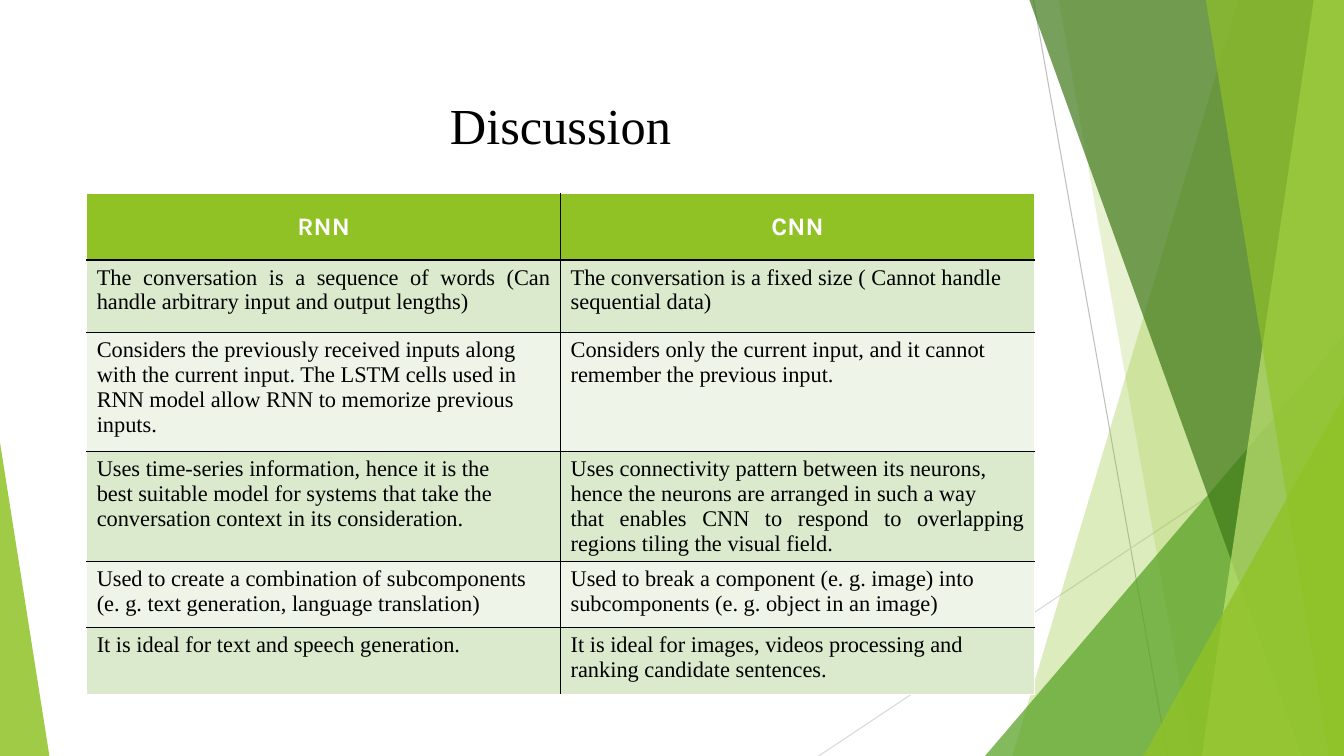
import pptx
import pptx.util
import pptx.dml.color
import pptx.enum.shapes
import pptx.enum.text
import pptx.oxml.ns
import lxml.etree

UNIT = pptx.util.Inches(1)
COLS, ROWS = 13.33, 7.5
HUES = {
    "lime": "90C226", "green": "54A021", "dark": "3F7819", "pale": "C0E474",
    "gray": "BFBFBF", "light": "D9D9D9", "black": "000000", "white": "FFFFFF",
    "band": "DBE9CD", "soft": "EEF4E8",
}
SERIF = "Times New Roman"
ALIGN = pptx.enum.text.PP_ALIGN
HEADS = ["RNN", "CNN"]
HEIGHTS = [0.66, 0.72, 1.18, 1.09, 0.66, 0.66]
BODY = [
    (["The conversation is a sequence of words (Can handle arbitrary input and output lengths)"],
     ["The conversation is a fixed size ( Cannot handle", "sequential data)"]),
    (["Considers the previously received inputs along",
      "with the current input. The LSTM cells used in",
      "RNN model allow RNN to memorize previous", "inputs."],
     ["Considers only the current input, and it cannot", "remember the previous input."]),
    (["Uses time-series information, hence it is the",
      "best suitable model for systems that take the",
      "conversation context in its consideration."],
     ["Uses connectivity pattern between its neurons,",
      "hence the neurons are arranged in such a way",
      "that enables CNN to respond to overlapping regions tiling the visual field."]),
    (["Used to create a combination of subcomponents",
      "(e. g. text generation, language translation)"],
     ["Used to break a component (e. g. image) into",
      "subcomponents (e. g. object in an image)"]),
    (["It is ideal for text and speech generation."],
     ["It is ideal for images, videos processing and", "ranking candidate sentences."]),
]


def grid(*sizes):
    return [round(size * UNIT) for size in sizes]


def color(name):
    return pptx.dml.color.RGBColor.from_string(HUES[name])


def child(parent, tag, **attrs):
    return lxml.etree.SubElement(parent, pptx.oxml.ns.qn(tag), **attrs)


def paint(shape, hue, alpha):
    shape.shadow.inherit = False
    shape.line.fill.background()
    shape.fill.solid()
    shape.fill.fore_color.rgb = color(hue)
    tint = shape.fill._xPr.find(".//" + pptx.oxml.ns.qn("a:srgbClr"))
    child(tint, "a:alpha", val=str(alpha * 1000))


def add_line(slide, start, end, hue):
    kind = pptx.enum.shapes.MSO_CONNECTOR.STRAIGHT
    line = slide.shapes.add_connector(kind, *grid(*start, *end))
    line.line.color.rgb = color(hue)
    line.line.width = pptx.util.Pt(0.75)
    child(line._element.spPr, "a:effectLst")


def add_facet(slide, box, top, foot, hue, alpha):
    left, upper, width, height = box
    right, lower = left + width, upper + height
    points = [(left + top, upper), (right, upper), (right, lower), (left + foot, lower)]
    first, *rest = [tuple(grid(*point)) for point in points]
    form = slide.shapes.build_freeform(*first)
    form.add_line_segments(rest, close=True)
    paint(form.convert_to_shape(), hue, alpha)


def add_wedge(slide, box, peak, hue, alpha):
    kind = pptx.enum.shapes.MSO_SHAPE.ISOSCELES_TRIANGLE
    wedge = slide.shapes.add_shape(kind, *grid(*box))
    wedge.adjustments[0] = peak
    paint(wedge, hue, alpha)


def add_decor(slide, box):
    left, top, width, height = box
    right, foot = left + width, top + height

    def corner(wide, high, hue, alpha):
        add_wedge(slide, (right - wide, foot - high, wide, high), 1, hue, alpha)

    add_line(slide, (left + 10.25, top), (left + 11.58, foot), "gray")
    add_line(slide, (right, top + 4.03), (left + 8.12, foot), "light")
    add_facet(slide, box, 12.28, 10.04, "lime", 30)
    add_facet(slide, box, 10.5, 11.83, "lime", 20)
    corner(3.56, 4.17, "green", 72)
    add_facet(slide, box, 10.21, 12.91, "dark", 70)
    add_facet(slide, box, 13.03, 11.92, "pale", 70)
    add_facet(slide, box, 11.96, 13.18, "lime", 65)
    corner(1.99, 3.57, "lime", 80)
    add_wedge(slide, (left, foot - 3.11, 0.49, 3.11), 0, "lime", 85)


def write(frame, lines, align, size, font, hue, bold=False):
    for index, text in enumerate(lines):
        para = frame.add_paragraph() if index else frame.paragraphs[0]
        para.alignment = align
        run = para.add_run()
        run.text = text
        run.font.size = pptx.util.Pt(size)
        run.font.name = font
        run.font.bold = bold
        run.font.color.rgb = color(hue)


def add_title(slide, box):
    title = slide.shapes.title
    title.left, title.top, title.width, title.height = grid(*box)
    title.text_frame.vertical_anchor = pptx.enum.text.MSO_ANCHOR.MIDDLE
    write(title.text_frame, ["Discussion"], ALIGN.CENTER, 36, SERIF, "black")


def style(cell, hue, edges):
    props = cell._tc.get_or_add_tcPr()
    for side, outer in edges.items():
        edge = child(props, "a:ln" + side, w=str(pptx.util.Pt(1)))
        fill = child(edge, "a:solidFill")
        child(fill, "a:srgbClr", val=HUES["white" if outer else "black"])
    cell.fill.solid()
    cell.fill.fore_color.rgb = color(hue)


def add_table(slide, box):
    rows, cols = len(HEIGHTS), len(HEADS)
    table = slide.shapes.add_table(rows, cols, *grid(*box)).table
    for col in table.columns:
        col.width = grid(box[2] / cols)[0]
    for row, high in zip(table.rows, HEIGHTS):
        row.height = grid(high)[0]
    for y in range(rows):
        for x in range(cols):
            cell = table.cell(y, x)
            edges = {"L": x == 0, "R": x == cols - 1, "T": y == 0, "B": y == rows - 1}
            if y == 0:
                style(cell, "lime", edges)
                cell.vertical_anchor = pptx.enum.text.MSO_ANCHOR.MIDDLE
                write(cell.text_frame, [HEADS[x]], ALIGN.CENTER, 18, "Karla", "white", True)
            else:
                style(cell, "band" if y % 2 else "soft", edges)
                plain = y == 4 or (y, x) == (5, 1)
                align = ALIGN.LEFT if plain else ALIGN.JUSTIFY
                write(cell.text_frame, BODY[y - 1][x], align, 16, SERIF, "black")


def main():
    deck = pptx.Presentation()
    deck.slide_width, deck.slide_height = grid(COLS, ROWS)
    slide = deck.slides.add_slide(deck.slide_layouts[5])
    slide.background.fill.solid()
    slide.background.fill.fore_color.rgb = color("white")
    add_decor(slide, (0, 0, COLS, ROWS))
    add_title(slide, (0.86, 0.64, 9.4, 1.19))
    add_table(slide, (0.86, 1.92, 9.4, sum(HEIGHTS)))
    deck.save("out.pptx")


if __name__ == "__main__":
    main()
